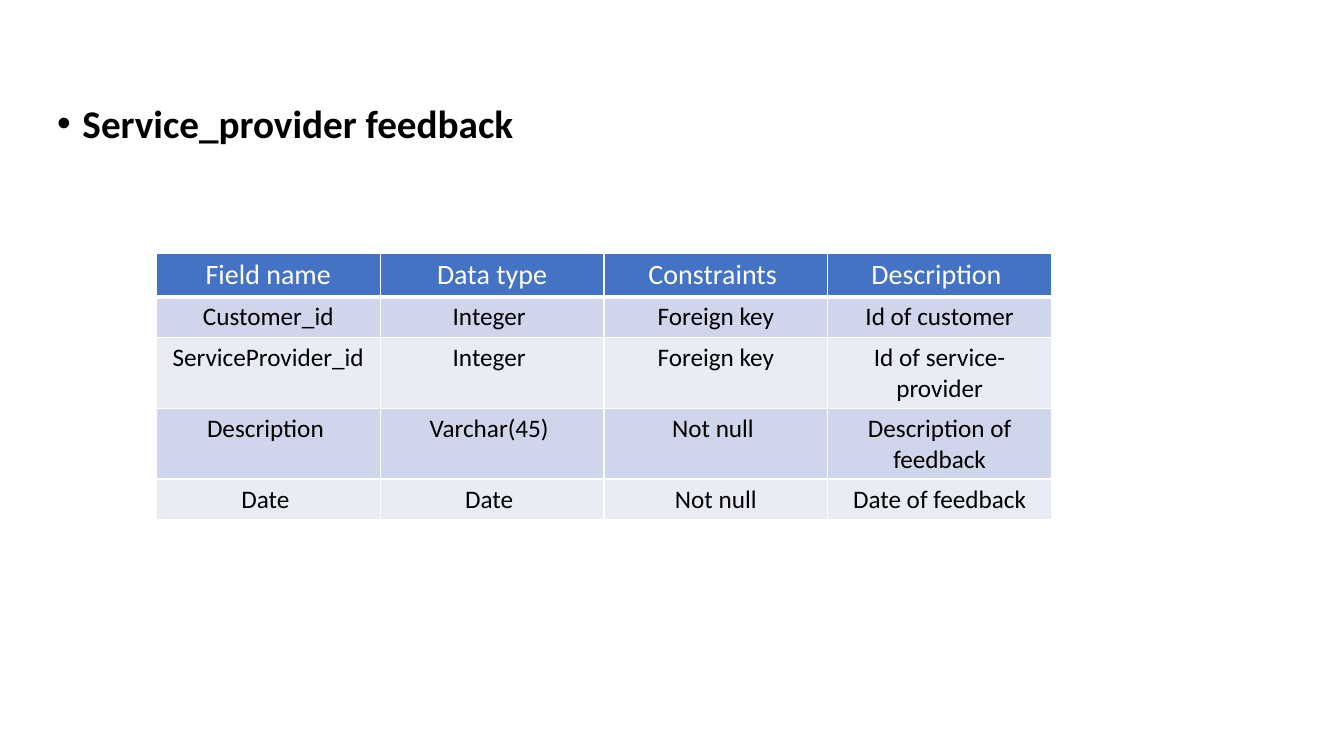
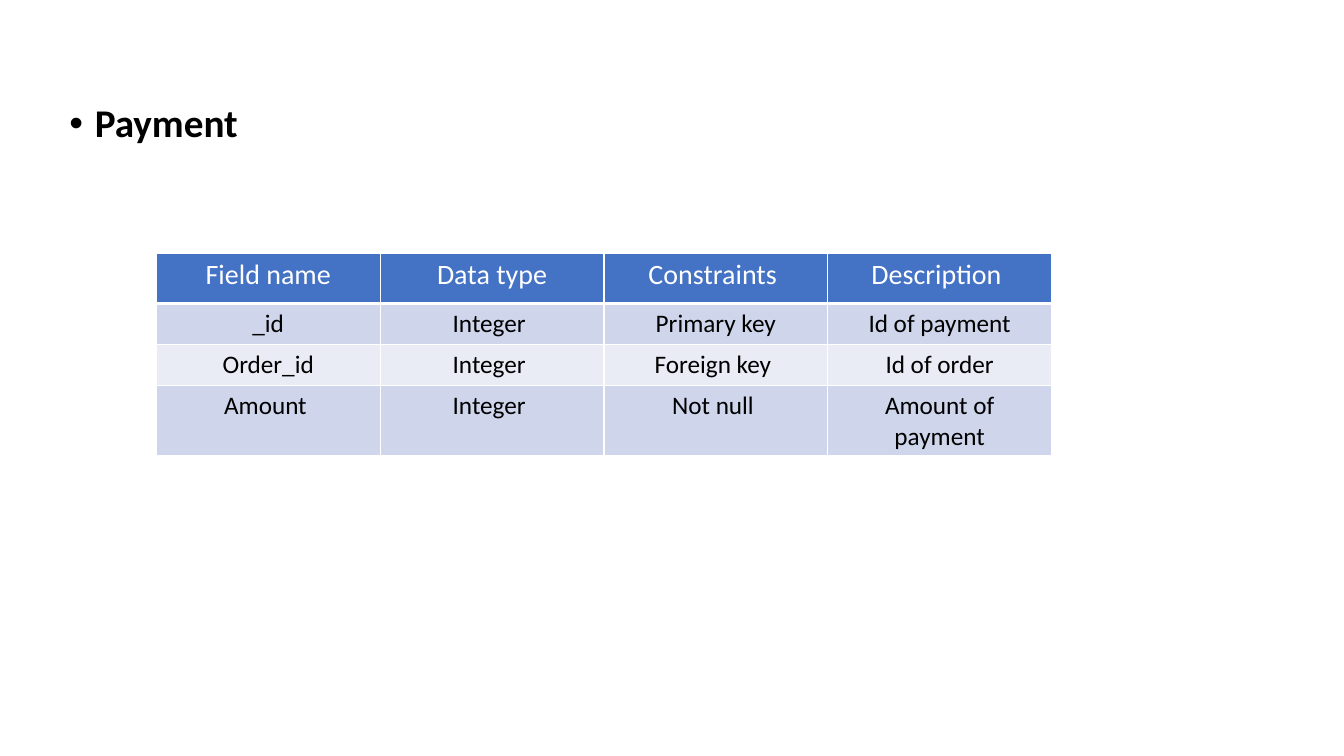
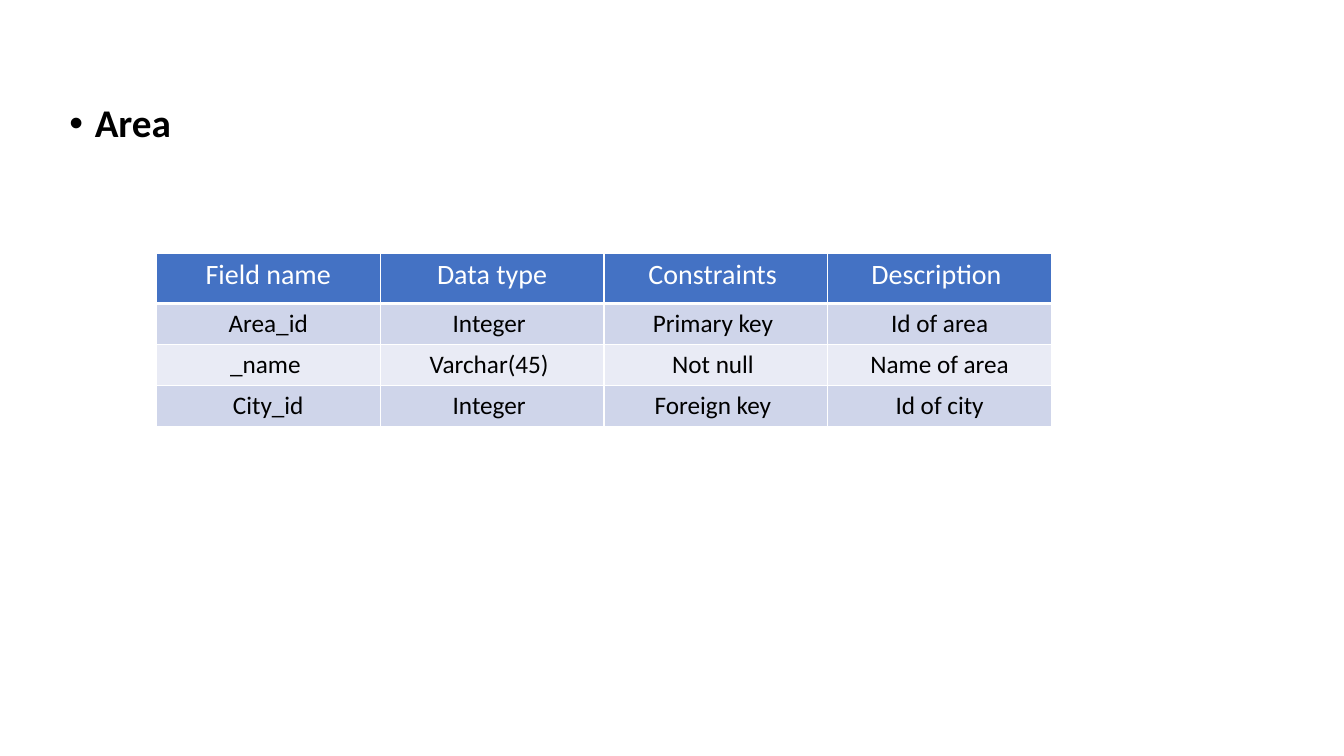
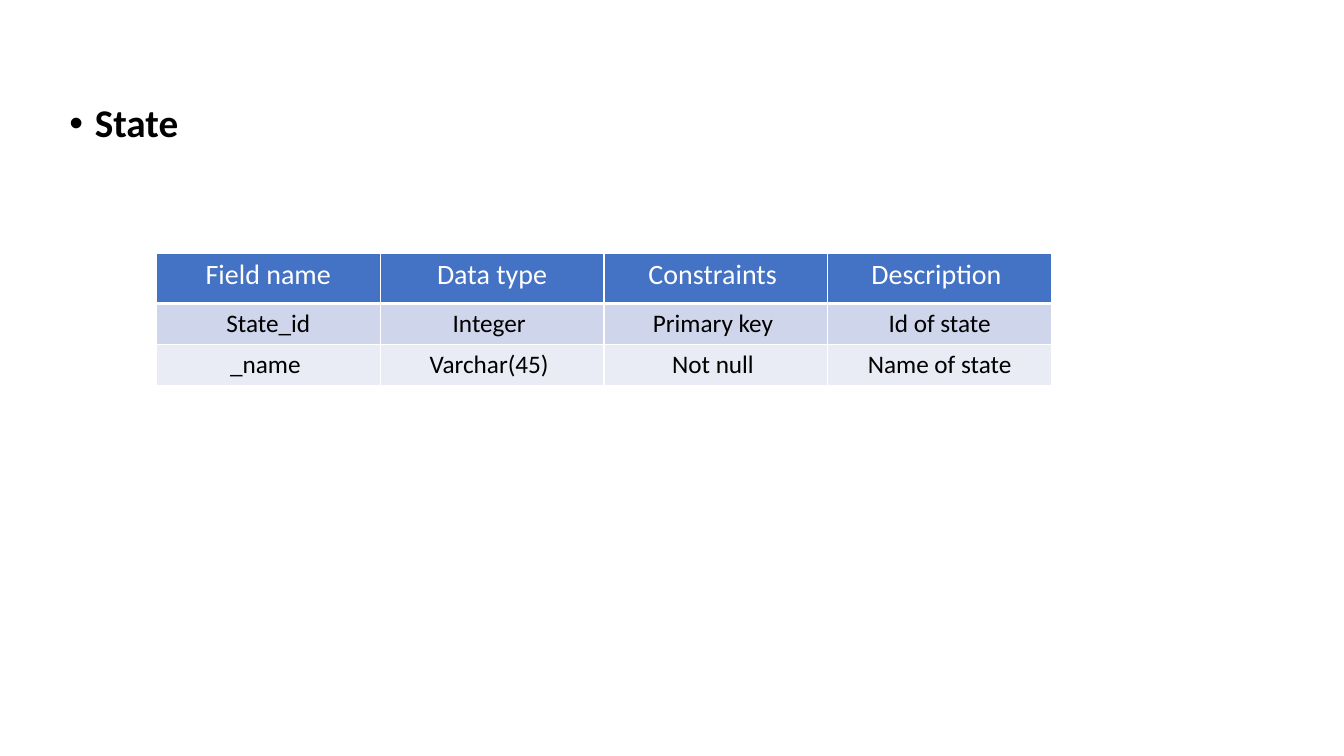
import pptx
import pptx.dml.color
import pptx.enum.text
import pptx.oxml.ns
import pptx.util
from lxml import etree

Cm = pptx.util.Cm
Pt = pptx.util.Pt
RGB = pptx.dml.color.RGBColor.from_string

# Shared look
THEME = {
    "font": "Calibri",
    "text": "000000",
    "header_text": "FFFFFF",
    "header_fill": "4472C4",
    "band_fills": ["CFD5EA", "E9EBF5"],
    "border": "FFFFFF",
    "title_size": 28,
    "header_size": 20,
    "cell_size": 18,
}
HEADERS = ["Field name", "Data type", "Constraints ", "Description "]
COLUMN_WIDTH = Cm(5.64)
ROW_HEIGHT = Cm(1.03)

# Content: title, its left and top, header height (cm), table rows
PAGES = [
    ("Service_provider feedback", 1.19, 2.51, 1.1, [
        ["Customer_id", "Integer ", "Foreign key", "Id of customer"],
        ["ServiceProvider_id", "Integer ", "Foreign key", "Id of service-provider"],
        ["Description ", "Varchar(45) ", "Not null ", "Description of feedback"],
        ["Date ", "Date ", "Not null", "Date of feedback"],
    ]),
    ("Payment", 1.5, 2.49, 1.27, [
        ["_id", "Integer ", "Primary key", "Id of payment"],
        ["Order_id", "Integer ", "Foreign key ", "Id of order"],
        ["Amount ", "Integer ", "Not null ", "Amount of payment"],
    ]),
    ("Area", 1.5, 2.49, 1.27, [
        ["Area_id", "Integer ", "Primary key ", "Id of area"],
        ["_name ", "Varchar(45) ", "Not null ", "Name of area"],
        ["City_id", "Integer ", "Foreign key ", "Id of city"],
    ]),
    ("State", 1.5, 2.49, 1.27, [
        ["State_id", "Integer ", "Primary key ", "Id of state"],
        ["_name ", "Varchar(45) ", "Not null ", "Name of state"],
    ]),
]


def add_span(para, text, size, color, bold):
    span = para.add_run()
    span.text = text
    span.font.name = THEME["font"]
    span.font.size = Pt(size)
    span.font.bold = bold
    span.font.color.rgb = RGB(color)


def add_element(parent, tag, **attributes):
    return etree.SubElement(parent, pptx.oxml.ns.qn(tag), attributes)


deck = pptx.Presentation()
deck.slide_width = Cm(33.87)
deck.slide_height = Cm(19.05)

for title, left, top, header_height, records in PAGES:
    page = deck.slides.add_slide(deck.slide_layouts[6])

    # Bulleted title
    box = page.shapes.add_textbox(Cm(left), Cm(top), Cm(29.21), Cm(12.09))
    box.text_frame.word_wrap = True
    para = box.text_frame.paragraphs[0]
    para.line_spacing = 0.9
    properties = para._p.get_or_add_pPr()
    properties.set("marL", str(Cm(0.64)))
    properties.set("indent", str(-Cm(0.64)))
    add_element(properties, "a:buFont", typeface="Arial")
    add_element(properties, "a:buChar", char="•")
    add_span(para, title, THEME["title_size"], THEME["text"], True)

    # Field table
    rows = [HEADERS] + records
    table = page.shapes.add_table(
        len(rows), len(HEADERS), Cm(3.94), Cm(6.38),
        COLUMN_WIDTH * len(HEADERS), Cm(header_height) + ROW_HEIGHT * len(records),
    ).table
    table.horz_banding = False
    for column in table.columns:
        column.width = COLUMN_WIDTH

    for row_index, values in enumerate(rows):
        is_header = row_index == 0
        table.rows[row_index].height = Cm(header_height) if is_header else ROW_HEIGHT
        if is_header:
            fill, color, size = THEME["header_fill"], THEME["header_text"], THEME["header_size"]
        else:
            fill = THEME["band_fills"][(row_index - 1) % 2]
            color, size = THEME["text"], THEME["cell_size"]

        for column_index, value in enumerate(values):
            cell = table.cell(row_index, column_index)
            para = cell.text_frame.paragraphs[0]
            para.alignment = pptx.enum.text.PP_ALIGN.CENTER
            add_span(para, value, size, color, False)

            # Borders come before the fill
            for side in ("L", "R", "T", "B"):
                width = Pt(3) if is_header and side == "B" else Pt(1)
                line = add_element(cell._tc.get_or_add_tcPr(), "a:ln" + side, w=str(width))
                line_fill = add_element(line, "a:solidFill")
                add_element(line_fill, "a:srgbClr", val=THEME["border"])
            cell.fill.solid()
            cell.fill.fore_color.rgb = RGB(fill)

deck.save("out.pptx")
